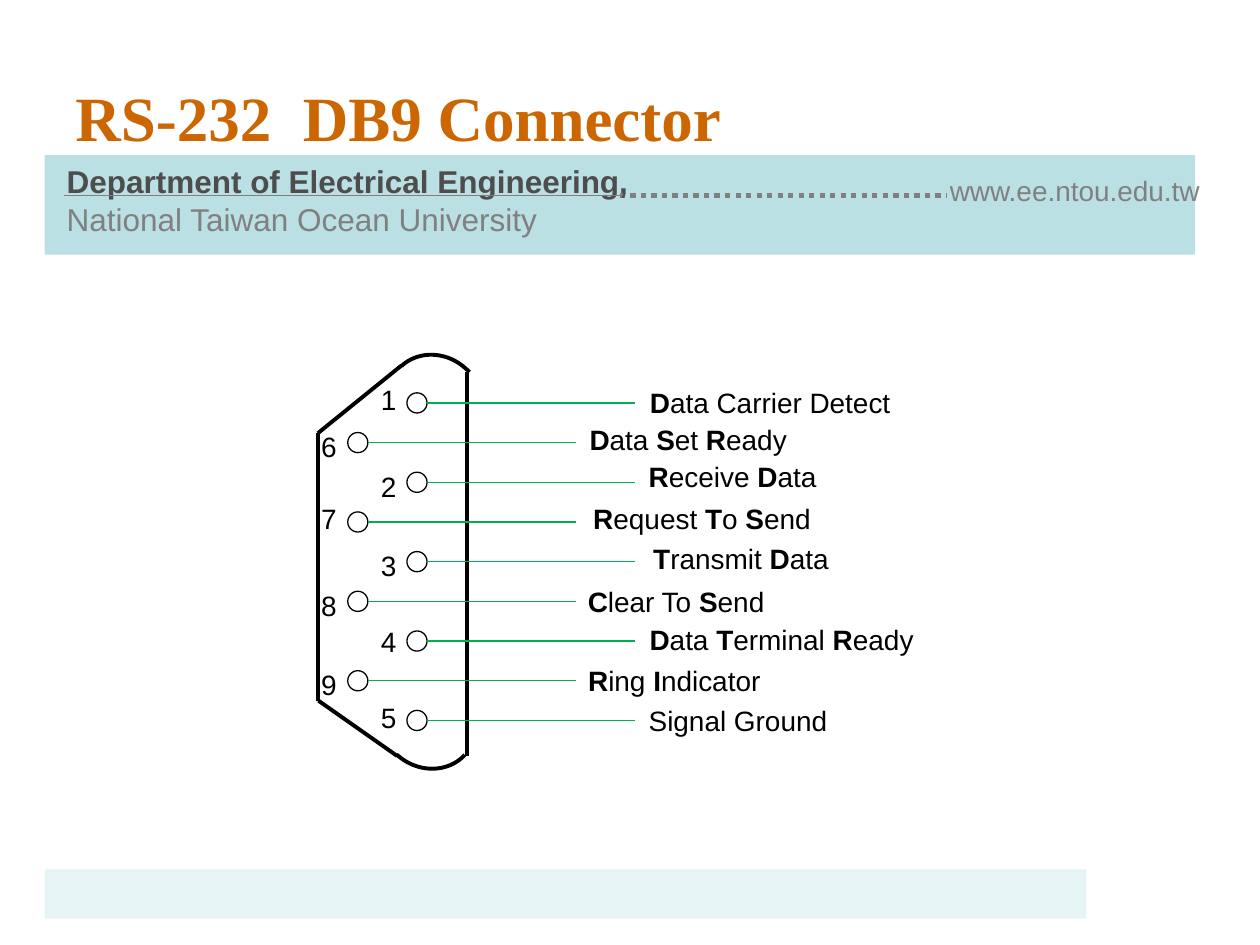
import pptx
import pptx.dml.color
import pptx.enum.dml
import pptx.enum.shapes
import pptx.enum.text
import pptx.oxml.ns
import pptx.util
from lxml import etree

Pt = pptx.util.Pt
SHAPES = pptx.enum.shapes.MSO_SHAPE

COLORS = {
    "band": "BBE0E3",
    "footer": "E7F4F5",
    "title": "CC6600",
    "dark": "4D4D4D",
    "gray": "808080",
    "black": "000000",
    "wire": "00B050",
}

FIRST_ROW, ROW_STEP = 230.25, 22.68
PIN_SIZE, WIRE_LENGTH = 11.5, 118.8
# Pin centre and number box left, for the five-pin and the four-pin column
COLUMNS = [(238.3, 210.5), (204.5, 176.4)]

# Number, number top, signal left, top and width; asterisks enclose bold letters
PINS = [
    ("1", 215.3, 364.3, 217, 153, "*D*ata Carrier Detect"),
    ("6", 241.9, 329.8, 238, 128, "*D*ata *S*et *R*eady"),
    ("2", 264.5, 363.6, 259, 111, "*R*eceive *D*ata"),
    ("7", 283, 331.9, 283, 140, "*R*equest *T*o *S*end"),
    ("3", 310, 366.2, 306, 116, "*T*ransmit *D*ata"),
    ("8", 332.6, 328.8, 330.5, 118, "*C*lear To *S*end"),
    ("4", 353.2, 364.1, 352.5, 166, "*D*ata *T*erminal *R*eady"),
    ("9", 378, 329, 375.8, 114, "*R*ing *I*ndicator"),
    ("5", 396.7, 363.6, 398.5, 118, "Signal Ground"),
]


def rgb(name):
    return pptx.dml.color.RGBColor.from_string(COLORS[name])


def add_span(para, text, size=16, color="black", bold=False, font="Arial"):
    span = para.add_run()
    span.text = text
    span.font.size = Pt(size)
    span.font.name = font
    span.font.bold = bold
    span.font.color.rgb = rgb(color)


def add_text_box(page, left, top, width, height=26.6, wrap=False, middle=False):
    """Add an empty text box and return its first paragraph."""
    box = page.shapes.add_textbox(Pt(left), Pt(top), Pt(width), Pt(height))
    frame = box.text_frame
    frame.word_wrap = wrap
    if middle:
        frame.vertical_anchor = pptx.enum.text.MSO_ANCHOR.MIDDLE
    else:
        frame.auto_size = pptx.enum.text.MSO_AUTO_SIZE.SHAPE_TO_FIT_TEXT
    return frame.paragraphs[0]


def add_shape(page, kind, left, top, width, height, fill=None, line=None, weight=0.75):
    shape = page.shapes.add_shape(kind, Pt(left), Pt(top), Pt(width), Pt(height))
    shape.shadow.inherit = False
    if fill:
        shape.fill.solid()
        shape.fill.fore_color.rgb = rgb(fill)
    else:
        shape.fill.background()
    if line:
        shape.line.color.rgb = rgb(line)
        shape.line.width = Pt(weight)
    else:
        shape.line.fill.background()
    return shape


def add_line(page, start, end, color, weight=0.75, dash=None):
    line = page.shapes.add_connector(
        pptx.enum.shapes.MSO_CONNECTOR.STRAIGHT, *map(Pt, (*start, *end)))
    line.line.color.rgb = rgb(color)
    line.line.width = Pt(weight)
    if dash:
        line.line.dash_style = dash
    etree.SubElement(line._element.spPr, pptx.oxml.ns.qn("a:effectLst"))


def add_corner(page, left, top, rotation):
    """Add a rounded housing corner: a quarter arc from 90 to 180 degrees, turned."""
    corner = add_shape(page, SHAPES.ARC, left, top, 52.6, 57.6,
                       line="black", weight=2.25)
    corner.adjustments[0] = 54
    corner.adjustments[1] = 108
    corner.rotation = rotation


def add_header(page):
    add_shape(page, SHAPES.RECTANGLE, 25.5, 496.8, 595.4, 28.1, fill="footer")
    add_shape(page, SHAPES.RECTANGLE, 25.5, 88.6, 657.4, 56.9, fill="band")
    add_line(page, (354.2, 111.6), (541.4, 111.6), "gray", 3,
             pptx.enum.dml.MSO_LINE.ROUND_DOT)
    para = add_text_box(page, 31, 89.3, 402.5, 50.4, wrap=True)
    add_span(para, "Department of Electrical Engineering,", 18, "dark", bold=True)
    add_span(para, " National Taiwan Ocean University", 18, "gray")
    add_line(page, (354.2, 111.6), (36.7, 111.6), "gray")
    para = add_text_box(page, 535.7, 95.8, 159.8, wrap=True)
    add_span(para, "www.ee.ntou.edu.tw", color="gray")
    para = add_text_box(page, 36, 21.6, 648, 90, wrap=True, middle=True)
    add_span(para, "RS-232  DB9 Connector", 36, "title", bold=True,
             font="Times New Roman")


def add_housing(page):
    for start, end in [
        ((181.6, 247.6), (181.6, 400.4)),
        ((266.6, 212.4), (266.6, 432)),
        ((181.6, 247.6), (229.5, 208.8)),
        ((182, 400.4), (227, 432)),
    ]:
        add_line(page, start, end, "black", 2.25)
    add_corner(page, 218.2, 383, 312.8)
    add_corner(page, 222.5, 201.6, 137.7)


def add_pin(page, row, number, number_top, left, top, width, signal):
    """Add one pin with its number, wire and signal name."""
    center, number_left = COLUMNS[row % 2]
    y = FIRST_ROW + row * ROW_STEP
    radius = PIN_SIZE / 2
    add_shape(page, SHAPES.FLOWCHART_CONNECTOR, center - radius, y - radius,
              PIN_SIZE, PIN_SIZE, line="black")
    wire_start = center + radius
    add_line(page, (wire_start, y), (wire_start + WIRE_LENGTH, y), "wire")
    add_span(add_text_box(page, number_left, number_top, 23), number)
    para = add_text_box(page, left, top, width)
    for index, part in enumerate(signal.split("*")):
        if part:
            add_span(para, part, bold=index % 2 == 1)


def main():
    deck = pptx.Presentation()
    deck.slide_width, deck.slide_height = Pt(720), Pt(540)
    page = deck.slides.add_slide(deck.slide_layouts[6])
    add_header(page)
    add_housing(page)
    for row, pin in enumerate(PINS):
        add_pin(page, row, *pin)
    deck.save("out.pptx")


if __name__ == "__main__":
    main()
